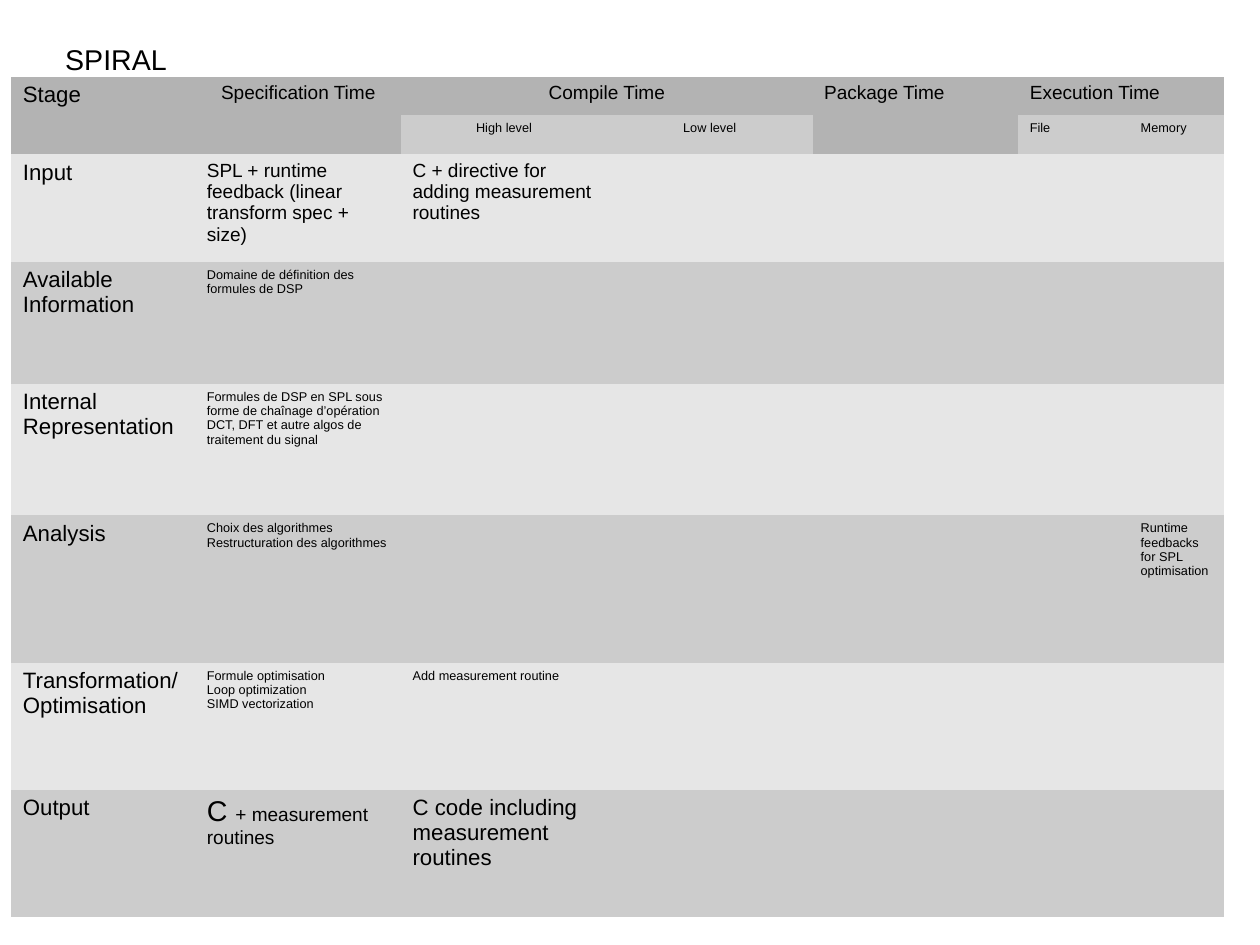
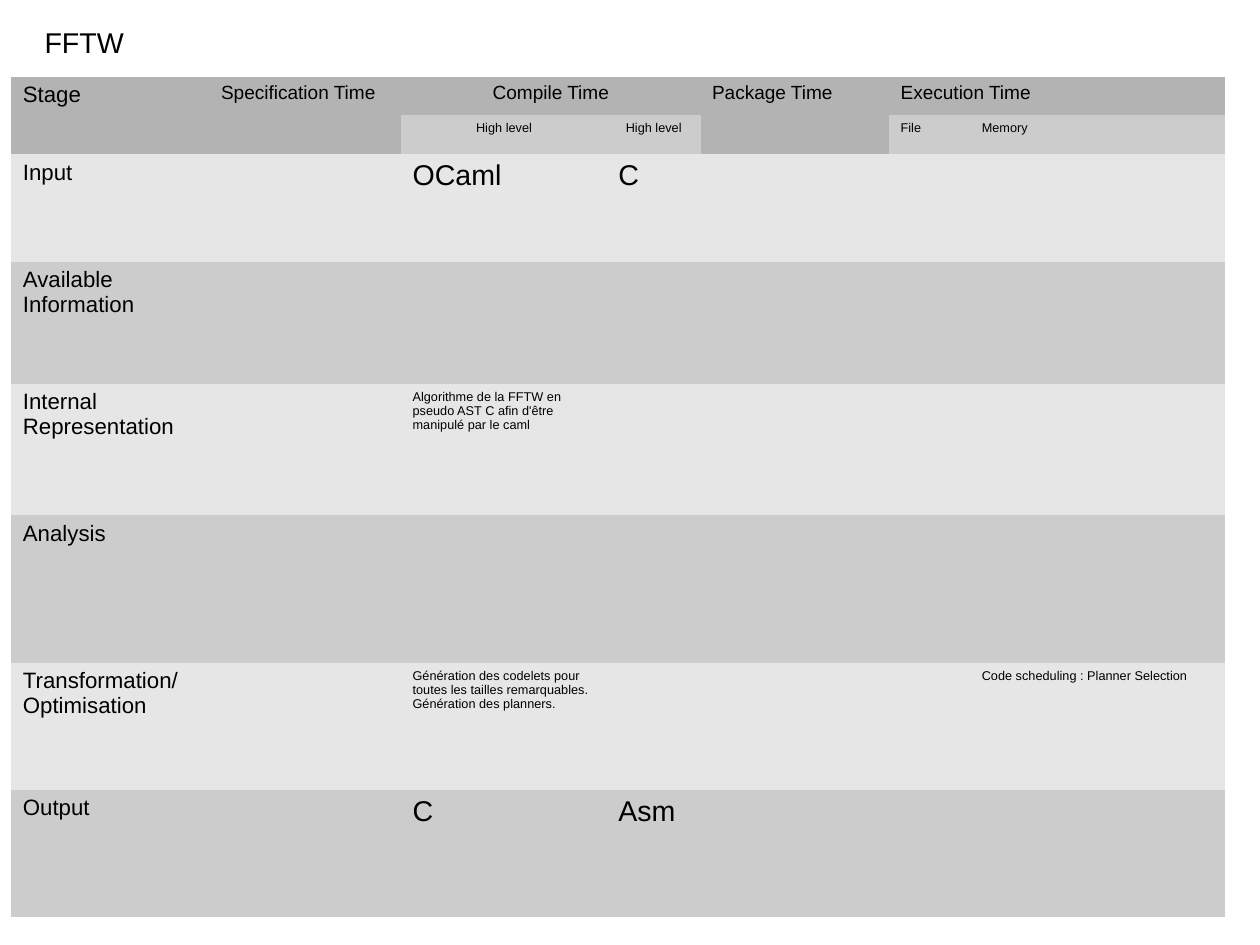
"""Build two compilation-stage comparison tables."""
from dataclasses import dataclass

from pptx import Presentation
from pptx.dml.color import RGBColor
from pptx.enum import text
from pptx.oxml import ns
from pptx.slide import Slide
from pptx.table import Table
from pptx.text.text import TextFrame
from pptx.util import Inches, Pt


@dataclass(frozen=True)
class Theme:
    """Colours and type sizes shared by the slides."""
    font: str = "Arial"
    ink: RGBColor = RGBColor(0, 0, 0)
    header: RGBColor = RGBColor(0xB3, 0xB3, 0xB3)
    dark: RGBColor = RGBColor(0xCC, 0xCC, 0xCC)
    light: RGBColor = RGBColor(0xE6, 0xE6, 0xE6)
    display: int = 18
    stage: int = 14
    heading: int = 12
    detail: int = 8


THEME = Theme()
CM_PER_INCH = 2.54
PAGE_WIDTH, PAGE_HEIGHT = Inches(28 / CM_PER_INCH), Inches(21 / CM_PER_INCH)
NO_GRID_STYLE = "{2D5ABB26-0587-4C30-8999-92F81FD0307C}"
ROW_HEIGHTS = (0.34, 0.34, 0.94, 1.07, 1.15, 1.29, 1.11, 1.11)
STAGES = ("Input", "Available Information", "Internal Representation",
          "Analysis", "Transformation/\nOptimisation", "Output")
INPUT, INFORMATION, REPRESENTATION, ANALYSIS, OPTIMISATION, OUTPUT = range(2, 8)
STAGE, SPECIFICATION, HIGH, LOW, PACKAGE, FILE, MEMORY = range(7)
MERGES = ((0, STAGE, 1, STAGE), (0, SPECIFICATION, 1, SPECIFICATION),
          (0, HIGH, 0, LOW), (0, PACKAGE, 1, PACKAGE), (0, FILE, 0, MEMORY))


@dataclass(frozen=True)
class Entry:
    """Text of one table cell, with an optional tail in heading size."""
    row: int
    column: int
    content: str
    size: int = THEME.detail
    centred: bool = False
    tail: str = ""


@dataclass(frozen=True)
class Tool:
    """Title, column layout and cell texts of one slide."""
    name: str
    title_box: tuple[float, float, float, float]
    columns: tuple[float, ...]
    low_label: str
    entries: tuple[Entry, ...]


TOOLS = (
    Tool("SPIRAL", (0.47, 0.32, 1.15, 0.38),
         (1.61, 1.8, 1.8, 1.8, 1.8, 0.97, 0.83), "Low level", (
        Entry(INPUT, SPECIFICATION,
              "SPL + runtime feedback (linear transform spec + size)", THEME.heading),
        Entry(INPUT, HIGH, "C + directive for adding measurement routines", THEME.heading),
        Entry(INFORMATION, SPECIFICATION, "Domaine de définition des formules de DSP"),
        Entry(REPRESENTATION, SPECIFICATION,
              "Formules de DSP en SPL sous forme de chaînage d’opération DCT, DFT "
              "et autre algos de traitement du signal"),
        Entry(ANALYSIS, SPECIFICATION,
              "Choix des algorithmes\nRestructuration des algorithmes"),
        Entry(ANALYSIS, MEMORY, "Runtime feedbacks for SPL optimisation"),
        Entry(OPTIMISATION, SPECIFICATION,
              "Formule optimisation\nLoop optimization\nSIMD vectorization"),
        Entry(OPTIMISATION, HIGH, "Add measurement routine"),
        Entry(OUTPUT, SPECIFICATION, "C ", THEME.display, tail="+ measurement routines"),
        Entry(OUTPUT, HIGH, "C code including measurement routines", THEME.stage))),
    Tool("FFTW", (0.29, 0.17, 1, 0.38),
         (1.61, 1.8, 1.8, 0.82, 1.65, 0.71, 2.23), "High level", (
        Entry(INPUT, HIGH, "OCaml", THEME.display),
        Entry(INPUT, LOW, "C", THEME.display),
        Entry(REPRESENTATION, HIGH,
              "Algorithme de la FFTW en pseudo AST C afin d'être manipulé par le caml"),
        Entry(OPTIMISATION, HIGH,
              "Génération des codelets pour toutes les tailles remarquables.\n"
              "Génération des planners."),
        Entry(OPTIMISATION, MEMORY, "Code scheduling : Planner Selection"),
        Entry(OUTPUT, HIGH, "C", THEME.display),
        Entry(OUTPUT, LOW, "Asm", THEME.display))),
)


def shared_entries(low_label: str) -> tuple[Entry, ...]:
    """Return the headings and stage names found in every table."""
    headings = (
        Entry(0, STAGE, "Stage", THEME.stage),
        Entry(0, SPECIFICATION, "Specification Time", THEME.heading, True),
        Entry(0, HIGH, "Compile Time", THEME.heading, True),
        Entry(0, PACKAGE, "Package Time", THEME.heading),
        Entry(0, FILE, "Execution Time", THEME.heading),
        Entry(1, HIGH, "High level", centred=True),
        Entry(1, LOW, low_label, centred=True),
        Entry(1, FILE, "File"),
        Entry(1, MEMORY, "Memory"),
    )
    return headings + tuple(Entry(row, STAGE, name, THEME.stage)
                            for row, name in enumerate(STAGES, start=INPUT))


def style_text(frame: TextFrame, size: int, centred: bool = False) -> None:
    """Format every run of a text frame."""
    for para in frame.paragraphs:
        para.alignment = text.PP_ALIGN.CENTER if centred else text.PP_ALIGN.LEFT
        for span in para.runs:
            span.font.name = THEME.font
            span.font.size = Pt(size)
            span.font.color.rgb = THEME.ink


def row_fill(row: int, column: int) -> RGBColor:
    """Return the band colour of a cell."""
    if row == 0 or row == 1 and column in (STAGE, SPECIFICATION, PACKAGE):
        return THEME.header
    return THEME.dark if row % 2 else THEME.light


def write_entry(table: Table, entry: Entry) -> None:
    """Write one entry into its cell."""
    frame = table.cell(entry.row, entry.column).text_frame
    frame.text = entry.content
    if entry.tail:
        frame.paragraphs[-1].add_run().text = entry.tail
    style_text(frame, entry.size, entry.centred)
    if entry.tail:
        frame.paragraphs[-1].runs[-1].font.size = Pt(THEME.heading)


def add_stage_table(page: Slide, tool: Tool) -> None:
    """Add the table of stages against compilation times."""
    frame = page.shapes.add_table(
        len(ROW_HEIGHTS), len(tool.columns), Inches(0.1), Inches(0.67),
        Inches(sum(tool.columns)), Inches(sum(ROW_HEIGHTS)))
    for style in frame.element.iter(ns.qn("a:tableStyleId")):
        style.text = NO_GRID_STYLE
    table = frame.table
    table.first_row = table.horz_banding = False
    for column, width in zip(table.columns, tool.columns):
        column.width = Inches(width)
    for row, height in enumerate(ROW_HEIGHTS):
        table.rows[row].height = Inches(height)
        for column in range(len(tool.columns)):
            cell = table.cell(row, column)
            cell.fill.solid()
            cell.fill.fore_color.rgb = row_fill(row, column)
    for top, left, bottom, right in MERGES:
        table.cell(top, left).merge(table.cell(bottom, right))
    for entry in shared_entries(tool.low_label) + tool.entries:
        write_entry(table, entry)


def add_title(page: Slide, tool: Tool) -> None:
    """Place the tool name in the title placeholder."""
    box = page.shapes.title
    box.left, box.top, box.width, box.height = map(Inches, tool.title_box)
    frame = box.text_frame
    frame.text = tool.name
    frame.word_wrap = False
    frame.auto_size = text.MSO_AUTO_SIZE.NONE
    frame.vertical_anchor = text.MSO_ANCHOR.TOP
    style_text(frame, THEME.display)


def main() -> None:
    """Build and save the deck."""
    deck = Presentation()
    deck.slide_width, deck.slide_height = PAGE_WIDTH, PAGE_HEIGHT
    for tool in TOOLS:
        page = deck.slides.add_slide(deck.slide_layouts.get_by_name("Title Only"))
        add_stage_table(page, tool)
        add_title(page, tool)
    deck.save("out.pptx")


if __name__ == "__main__":
    main()
